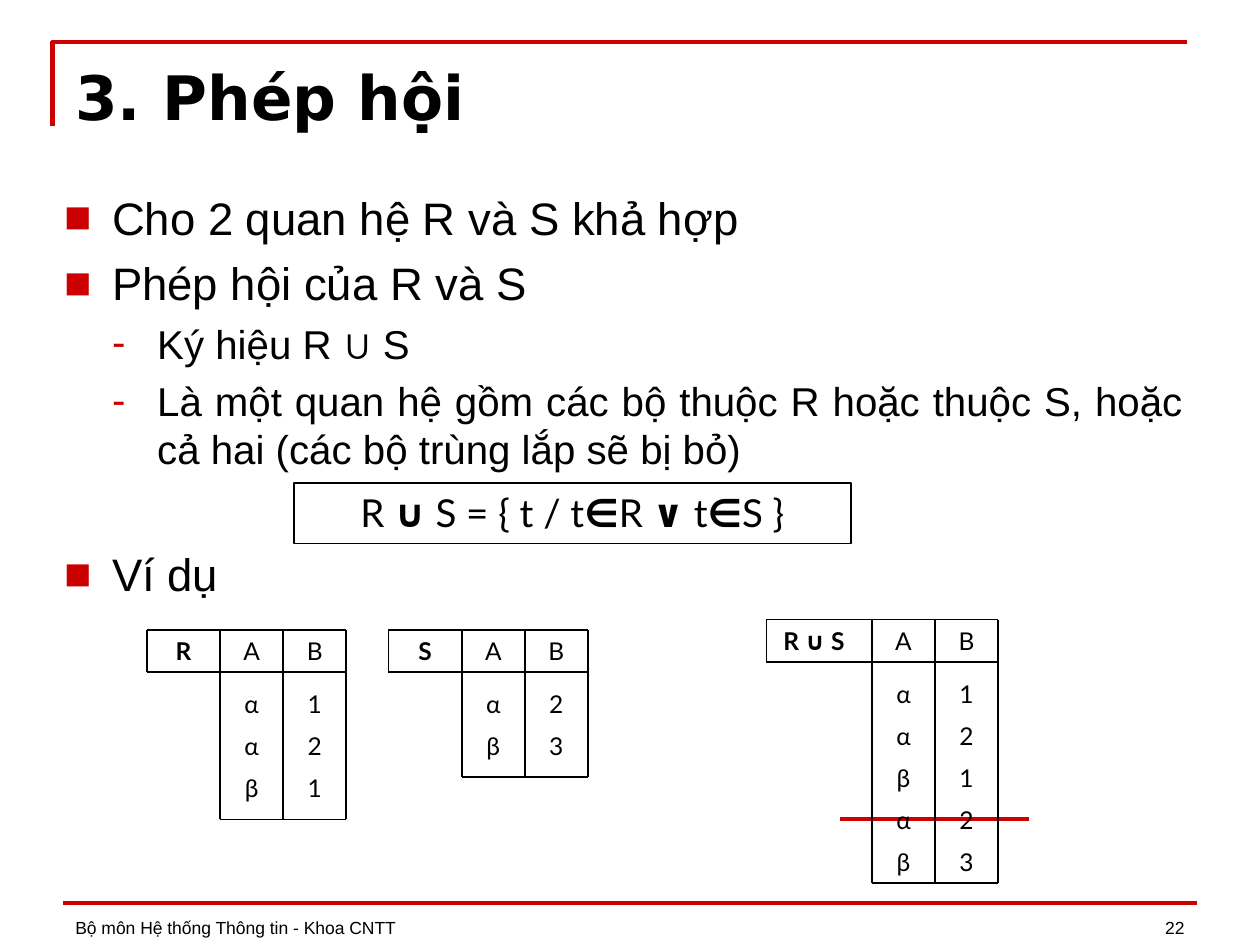
from lxml import etree
from pptx import Presentation
from pptx.dml.color import RGBColor
from pptx.enum import shapes, text
from pptx.oxml import ns
from pptx.util import Cm, Pt

RED = RGBColor(0xCC, 0x00, 0x00)
BLACK = RGBColor(0x00, 0x00, 0x00)
ALIGN = text.PP_ALIGN
ANCHOR = text.MSO_ANCHOR

# Content
TITLE = "3. Phép hội"
FOOTER = "Bộ môn Hệ thống Thông tin - Khoa CNTT"
PAGE = "22"
# (level, space before in points, text)
POINTS = [
    (0, 0, "Cho 2 quan hệ R và S khả hợp"),
    (0, 6, "Phép hội của R và S"),
    (1, 5.3, "Ký hiệu R ∪ S"),
    (1, 5.3, "Là một quan hệ gồm các bộ thuộc R hoặc thuộc S, "
             "hoặc cả hai (các bộ trùng lắp sẽ bị bỏ)"),
    (0, 42, "Ví dụ"),  # leaves room for the formula
]
# (bullet, size in points, left margin, hanging indent)
LEVELS = [("■", 26, Cm(0.95), Cm(0.95)), ("-", 23, Cm(1.86), Cm(0.91))]
# (text, bold)
FORMULA = [("R ", False), ("∪", True), (" S = { t / t", False), ("∈", True),
           ("R ", False), ("∨", True), (" t", False), ("∈", True), ("S }", False)]
ATTRIBUTES = ("A", "B")
# Places in cm: label is where the name's box starts, left the frame, columns the grid
RELATIONS = [
    dict(name="R", label=2.96, left=2.96, columns=4.44, top=12.7, foot=0.21,
         rows=[("α", "1"), ("α", "2"), ("β", "1")]),
    dict(name="S", label=7.83, left=7.83, columns=9.31, top=12.7, foot=0.21,
         rows=[("α", "2"), ("β", "3")]),
    dict(name="R ∪ S", label=15.24, left=15.45, columns=17.58, top=12.49, foot=0,
         rows=[("α", "1"), ("α", "2"), ("β", "1"), ("α", "2"), ("β", "3")]),
]
COLUMN, ROW, HEAD_GAP = 1.27, 0.85, 0.21


def add_line(parent, x1, y1, x2, y2, color=BLACK, width=1):
    line = parent.add_connector(shapes.MSO_CONNECTOR.STRAIGHT,
                                Cm(x1), Cm(y1), Cm(x2), Cm(y2))
    line.line.color.rgb = color
    line.line.width = Pt(width)
    etree.SubElement(line._element.spPr, ns.qn("a:effectLst"))


def add_run(paragraph, words, size, font, bold=False):
    run = paragraph.add_run()
    run.text = words
    run.font.size = Pt(size)
    run.font.name = font
    run.font.bold = bold
    run.font.color.rgb = BLACK


def add_text(parent, x, y, width, height, words, size, font="Arial", bold=False,
             align=ALIGN.LEFT, anchor=ANCHOR.TOP, inset=0.13):
    frame = parent.add_textbox(Cm(x), Cm(y), Cm(width), Cm(height)).text_frame
    frame.word_wrap = True
    frame.vertical_anchor = anchor
    frame.margin_top = Cm(inset)
    frame.paragraphs[0].alignment = align
    add_run(frame.paragraphs[0], words, size, font, bold)


def set_bullet(paragraph, symbol, margin, hanging):
    props = paragraph._p.get_or_add_pPr()
    props.set("marL", str(margin))
    props.set("indent", str(-hanging))
    color = etree.SubElement(props, ns.qn("a:buClr"))
    etree.SubElement(color, ns.qn("a:srgbClr"), val=str(RED))
    etree.SubElement(props, ns.qn("a:buFont"), typeface="Arial")
    etree.SubElement(props, ns.qn("a:buChar"), char=symbol)


def add_relation(slide, name, label, left, columns, top, foot, rows):
    group = slide.shapes.add_group_shape().shapes
    head_bottom = top + ROW
    body_top = head_bottom + HEAD_GAP
    bottom = body_top + len(rows) * ROW + foot
    right = columns + len(ATTRIBUTES) * COLUMN

    # Frame
    for y in (top, head_bottom):
        add_line(group, left, y, right, y)
    add_line(group, left, top, left, head_bottom)
    add_line(group, columns, bottom, right, bottom)
    for i in range(len(ATTRIBUTES) + 1):
        x = columns + i * COLUMN
        add_line(group, x, top, x, bottom)

    # Name, attributes and tuples
    add_text(group, label, top, columns - label, ROW, name, 14, "Lato", True, ALIGN.CENTER)
    tops = [top] + [body_top + i * ROW for i in range(len(rows))]
    for y, values in zip(tops, [ATTRIBUTES] + rows):
        for i, value in enumerate(values):
            add_text(group, columns + i * COLUMN, y, COLUMN, ROW, value, 14, "Lato",
                     align=ALIGN.CENTER)


def main():
    deck = Presentation()
    deck.slide_width, deck.slide_height = Cm(25.4), Cm(19.05)
    slide = deck.slides.add_slide(deck.slide_layouts[6])
    parts = slide.shapes

    # Corner rule around the title, and footer rule
    builder = parts.build_freeform(Cm(1.06), Cm(2.54))
    builder.add_line_segments([(Cm(1.06), Cm(0.85)), (Cm(23.92), Cm(0.85))], close=False)
    corner = builder.convert_to_shape()
    corner.shadow.inherit = False
    corner.fill.background()
    corner.line.color.rgb = RED
    corner.line.width = Pt(2.5)
    add_line(parts, 1.27, 18.2, 24.13, 18.2, RED, 2)

    # Footer
    add_text(parts, 1.27, 17.76, 15.44, 1.27, FOOTER, 10, anchor=ANCHOR.BOTTOM)
    add_text(parts, 18.2, 17.76, 5.93, 1.27, PAGE, 10, align=ALIGN.RIGHT,
             anchor=ANCHOR.BOTTOM)

    # Strike through the repeated tuple
    add_line(parts, 20.75, 16.51, 16.94, 16.51, RED, 2.25)

    # Title
    add_text(parts, 1.27, 0.99, 22.86, 1.73, TITLE, 35, "DejaVu Sans", True, inset=0.2)

    # Points
    body = parts.add_textbox(Cm(1.06), Cm(3.6), Cm(23.07), Cm(14.18)).text_frame
    body.word_wrap = True
    body.margin_top = Cm(0.23)
    for i, (level, before, words) in enumerate(POINTS):
        paragraph = body.add_paragraph() if i else body.paragraphs[0]
        symbol, size, margin, hanging = LEVELS[level]
        set_bullet(paragraph, symbol, margin, hanging)
        paragraph.level = level
        paragraph.alignment = ALIGN.JUSTIFY
        if before:
            paragraph.space_before = Pt(before)
        add_run(paragraph, words, size, "Arial")

    # Formula
    formula = parts.add_shape(shapes.MSO_SHAPE.RECTANGLE, Cm(5.93), Cm(9.74),
                              Cm(11.22), Cm(1.22))
    formula.shadow.inherit = False
    formula.fill.background()
    formula.line.color.rgb = BLACK
    formula.line.width = Pt(1)
    formula.text_frame.word_wrap = True
    formula.text_frame.vertical_anchor = ANCHOR.TOP
    paragraph = formula.text_frame.paragraphs[0]
    paragraph.alignment = ALIGN.CENTER
    for words, bold in FORMULA:
        add_run(paragraph, words, 22, "Lato", bold)

    # Example relations
    for relation in RELATIONS:
        add_relation(slide, **relation)

    deck.save("out.pptx")


if __name__ == "__main__":
    main()
